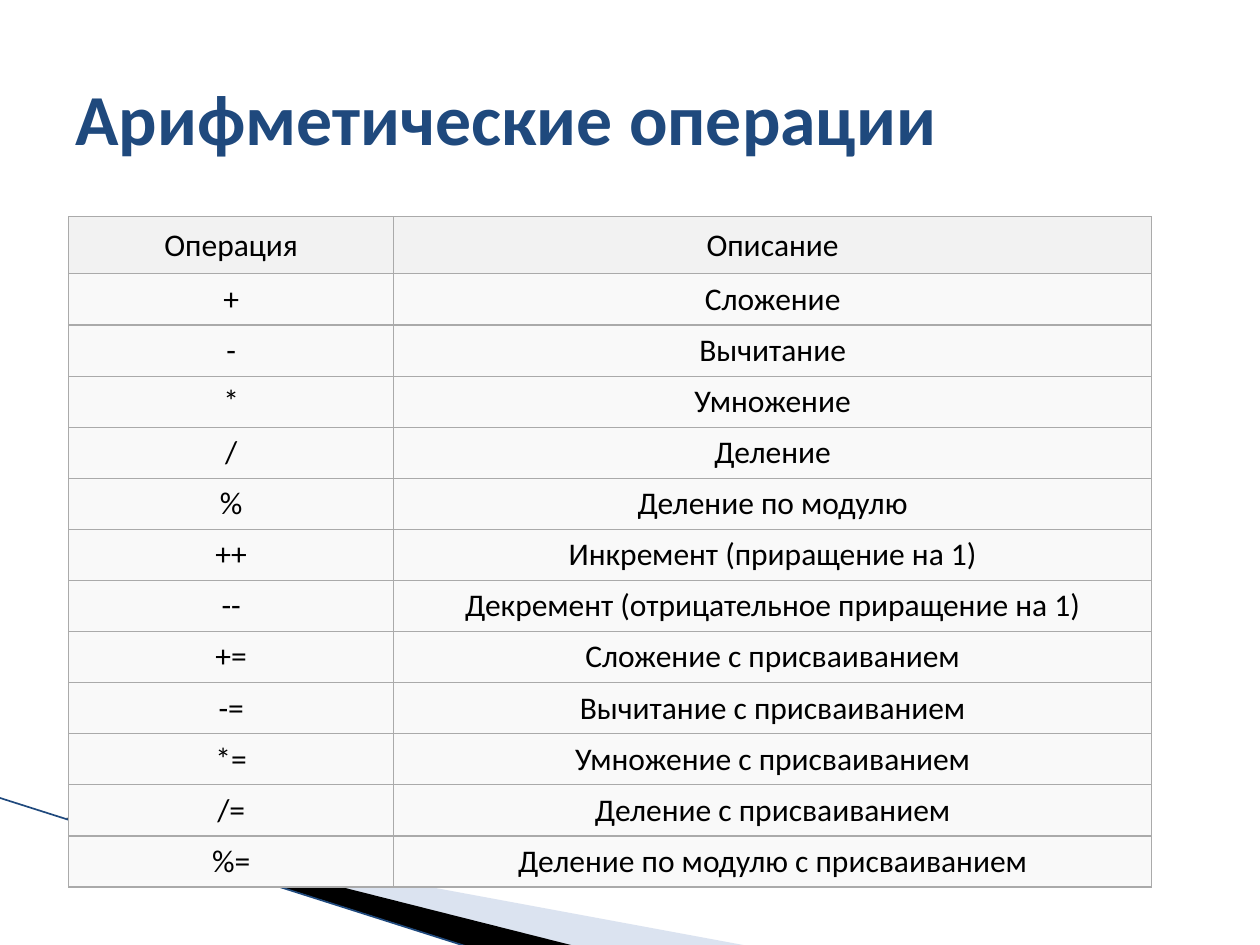
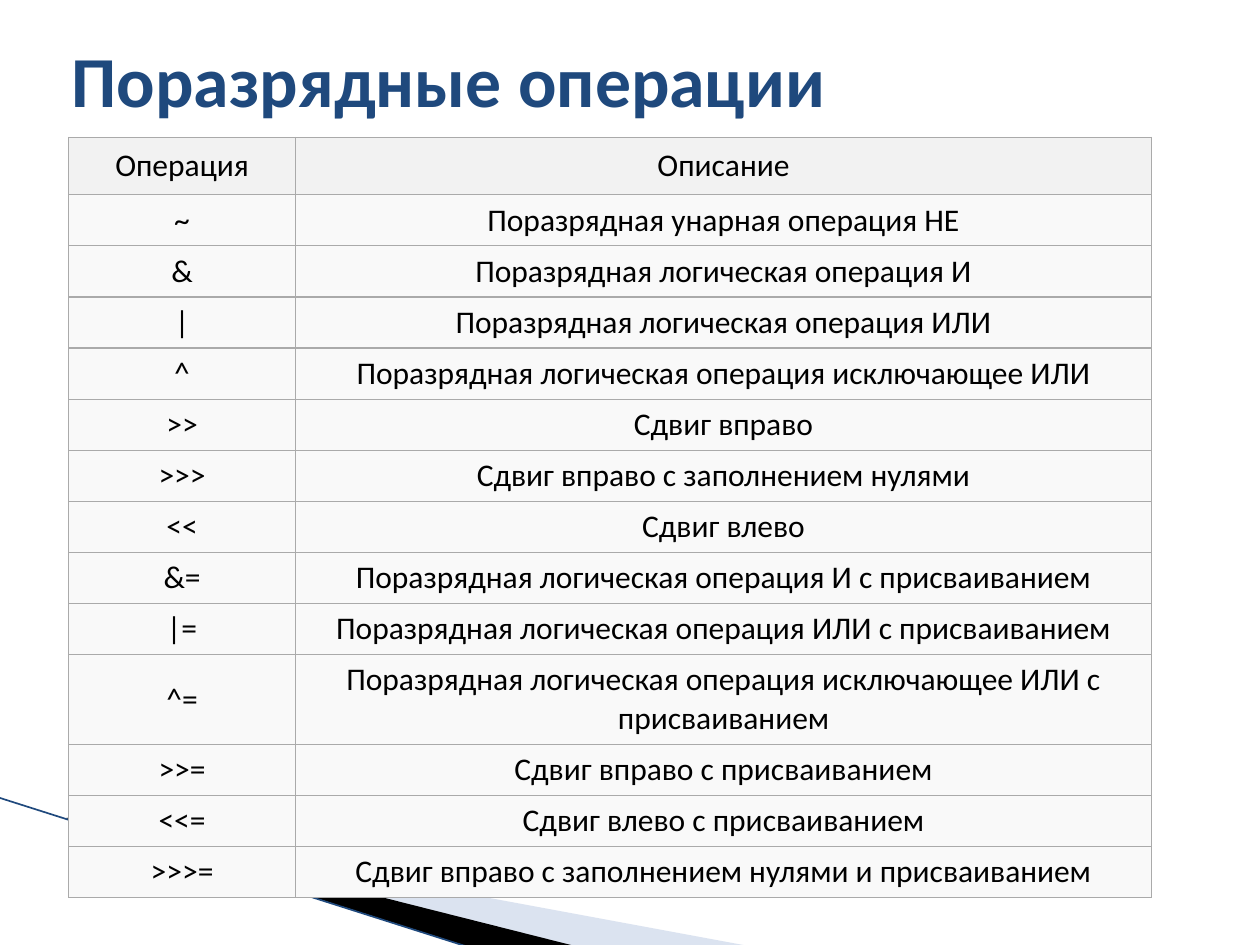
from lxml import etree
from pptx import Presentation
from pptx import util as u
from pptx.dml.color import RGBColor
from pptx.enum import shapes, text
from pptx.oxml import ns

WIDE, TALL = u.Inches(10), u.Inches(7.5)
FONT = "Calibri"
NAVY = RGBColor(0x1F, 0x49, 0x7D)
PALE = RGBColor(0xA7, 0xB9, 0xDB)
BLACK = RGBColor(0, 0, 0)
HEAD = RGBColor(0xF2, 0xF2, 0xF2)
BODY = RGBColor(0xF9, 0xF9, 0xF9)
RULE = "AAAAAA"

LEFT = 5.45
HEAD_ROW, BODY_ROW = 6.06, 4.67
HEADER = ("Операция", "Описание")

MATH = [
    ("+", "Сложение"),
    ("-", "Вычитание"),
    ("*", "Умножение"),
    ("/", "Деление"),
    ("%", "Деление по модулю"),
    ("++", "Инкремент (приращение на 1)"),
    ("--", "Декремент (отрицательное приращение на 1)"),
    ("+=", "Сложение с присваиванием"),
    ("-=", "Вычитание с присваиванием"),
    ("*=", "Умножение с присваиванием"),
    ("/=", "Деление с присваиванием"),
    ("%=", "Деление по модулю с присваиванием"),
]

BITS = [
    ("~", "Поразрядная унарная операция НЕ"),
    ("&", "Поразрядная логическая операция И"),
    ("|", "Поразрядная логическая операция ИЛИ"),
    ("^", "Поразрядная логическая операция исключающее ИЛИ"),
    (">>", "Сдвиг вправо"),
    (">>>", "Сдвиг вправо с заполнением нулями"),
    ("<<", "Сдвиг влево"),
    ("&=", "Поразрядная логическая операция И с присваиванием"),
    ("|=", "Поразрядная логическая операция ИЛИ с присваиванием"),
    ("^=", "Поразрядная логическая операция исключающее ИЛИ с присваиванием"),
    (">>=", "Сдвиг вправо с присваиванием"),
    ("<<=", "Сдвиг влево с присваиванием"),
    (">>>=", "Сдвиг вправо с заполнением нулями и присваиванием"),
]


def across(part):
    return round(WIDE * part / 100)


def down(part):
    return round(TALL * part / 100)


def set_frame(wedge, left, top, width, high):
    shift_x, shift_y = wedge.left - across(left), wedge.top - down(top)
    for spot in wedge.element.iter(ns.qn("a:pt")):
        spot.set("x", str(int(spot.get("x")) + shift_x))
        spot.set("y", str(int(spot.get("y")) + shift_y))
    wedge.left, wedge.top = across(left), down(top)
    wedge.width, wedge.height = across(width), down(high)
    for trace in wedge.element.iter(ns.qn("a:path")):
        trace.set("w", str(wedge.width))
        trace.set("h", str(wedge.height))


def add_wedge(slide, points, frame, color, alpha=None):
    spots = [(across(x), down(y)) for x, y in points]
    pen = slide.shapes.build_freeform(*spots[0])
    pen.add_line_segments(spots[1:], close=True)
    wedge = pen.convert_to_shape()
    set_frame(wedge, *frame)
    wedge.shadow.inherit = False
    wedge.line.fill.background()
    wedge.fill.solid()
    wedge.fill.fore_color.rgb = color
    if alpha is not None:
        tint = wedge.element.spPr.find(".//" + ns.qn("a:srgbClr"))
        etree.SubElement(tint, ns.qn("a:alpha"), val=str(alpha * 1000))
    return wedge


def add_edge(slide):
    edge = slide.shapes.add_connector(
        shapes.MSO_CONNECTOR.STRAIGHT,
        across(-0.1), down(84.4), across(37.3), down(100.27))
    edge.line.color.rgb = NAVY
    edge.line.width = u.Pt(0.95)
    etree.SubElement(edge.element.spPr, ns.qn("a:effectLst"))
    return edge


def share_decor(slide):
    decor = [
        add_wedge(slide, [(5.5, 86.8), (59.5, 100.13), (45.6, 100.13),
                          (5.5, 86.67)], (7.8, 72.93, 41.6, 21.07), PALE, 40),
        add_wedge(slide, [(5.3, 86.53), (45.7, 100.13), (37.4, 100.27),
                          (5.4, 86.67)], (-0.6, 84.4, 41.6, 12.27), BLACK),
        add_edge(slide),
    ]
    first = slide.slide_layout.placeholders[0].element
    for item in decor:
        first.addprevious(item.element)


def set_title(slide, words, left, top):
    title = slide.shapes.title
    title.left, title.top = across(left), down(top)
    title.width, title.height = across(90), down(16.67)
    frame = title.text_frame
    frame.text = words
    frame.vertical_anchor = text.MSO_ANCHOR.MIDDLE
    style(frame.paragraphs[0], 41, NAVY, True, text.PP_ALIGN.LEFT)


def style(par, size, color, bold, align):
    par.alignment = align
    for run in par.runs:
        run.font.name = FONT
        run.font.size = u.Pt(size)
        run.font.bold = bold
        run.font.color.rgb = color


def add_border(cell):
    props = cell._tc.get_or_add_tcPr()
    for side in ("lnL", "lnR", "lnT", "lnB"):
        line = etree.SubElement(props, ns.qn("a:" + side), w=str(u.Pt(0.75)))
        fill = etree.SubElement(line, ns.qn("a:solidFill"))
        etree.SubElement(fill, ns.qn("a:srgbClr"), val=RULE)


def set_cell(cell, words, color):
    add_border(cell)
    cell.fill.solid()
    cell.fill.fore_color.rgb = color
    cell.vertical_anchor = text.MSO_ANCHOR.MIDDLE
    cell.text_frame.text = words
    style(cell.text_frame.paragraphs[0], 18, BLACK, False,
          text.PP_ALIGN.CENTER)


def add_grid(slide, rows, top, widths):
    rows = [HEADER] + rows
    high = HEAD_ROW + BODY_ROW * (len(rows) - 1)
    grid = slide.shapes.add_table(
        len(rows), len(widths), across(LEFT), down(top),
        across(sum(widths)), down(high)).table
    grid.first_row = grid.horz_banding = False
    for col, width in zip(grid.columns, widths):
        col.width = across(width)
    for r, row in enumerate(rows):
        grid.rows[r].height = down(BODY_ROW if r else HEAD_ROW)
        for c, words in enumerate(row):
            set_cell(grid.cell(r, c), words, BODY if r else HEAD)


def main():
    deck = Presentation()
    deck.slide_width, deck.slide_height = WIDE, TALL
    plain = deck.slide_layouts[5]

    sums = deck.slides.add_slide(plain)
    share_decor(sums)
    set_title(sums, "Арифметические операции", 5, 4)
    add_grid(sums, MATH, 22.93, (25.8, 60.15))

    bits = deck.slides.add_slide(plain)
    set_title(bits, "Поразрядные операции", 4.7, 0)
    add_grid(bits, BITS, 14.55, (18, 67.95))

    deck.save("out.pptx")


if __name__ == "__main__":
    main()
